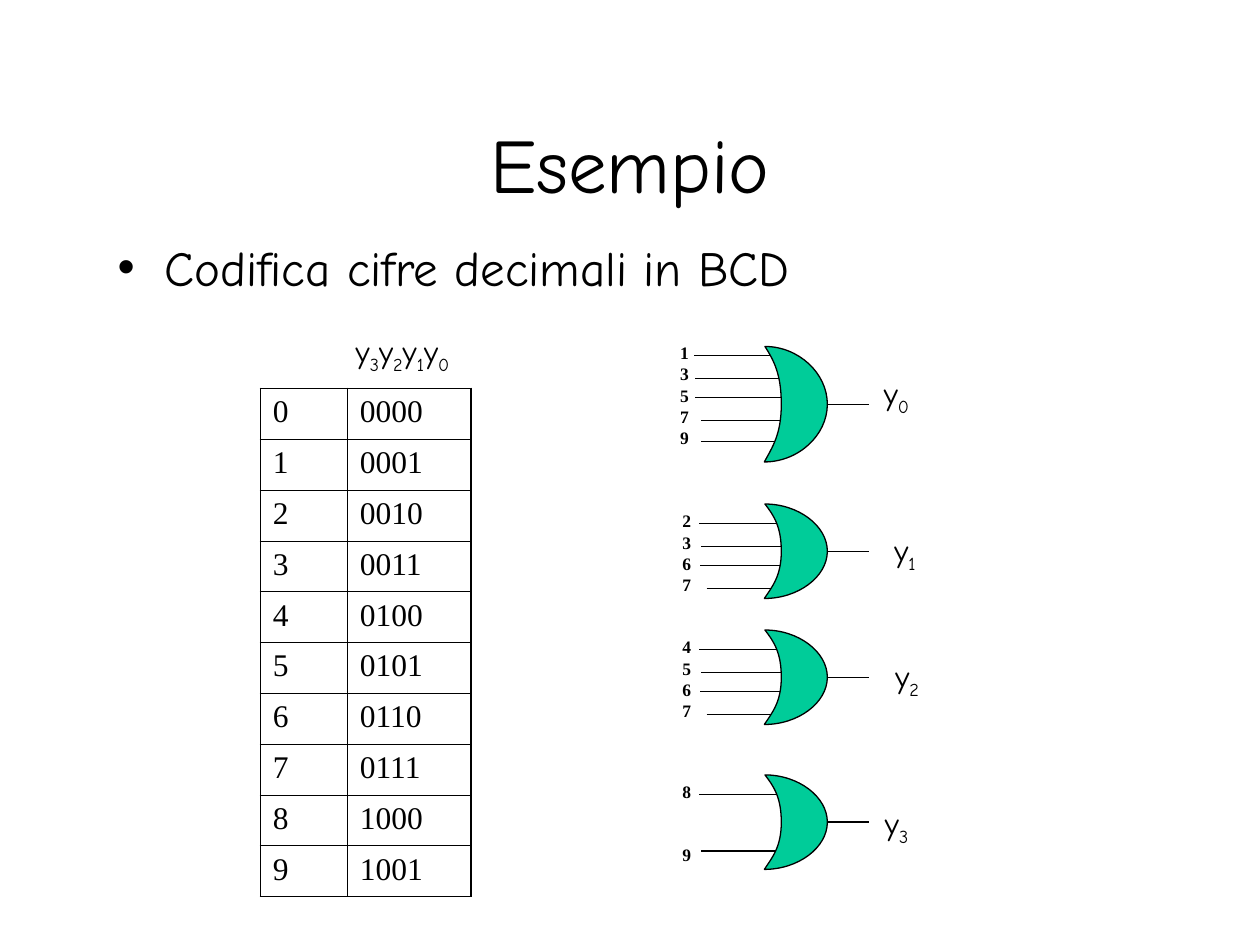
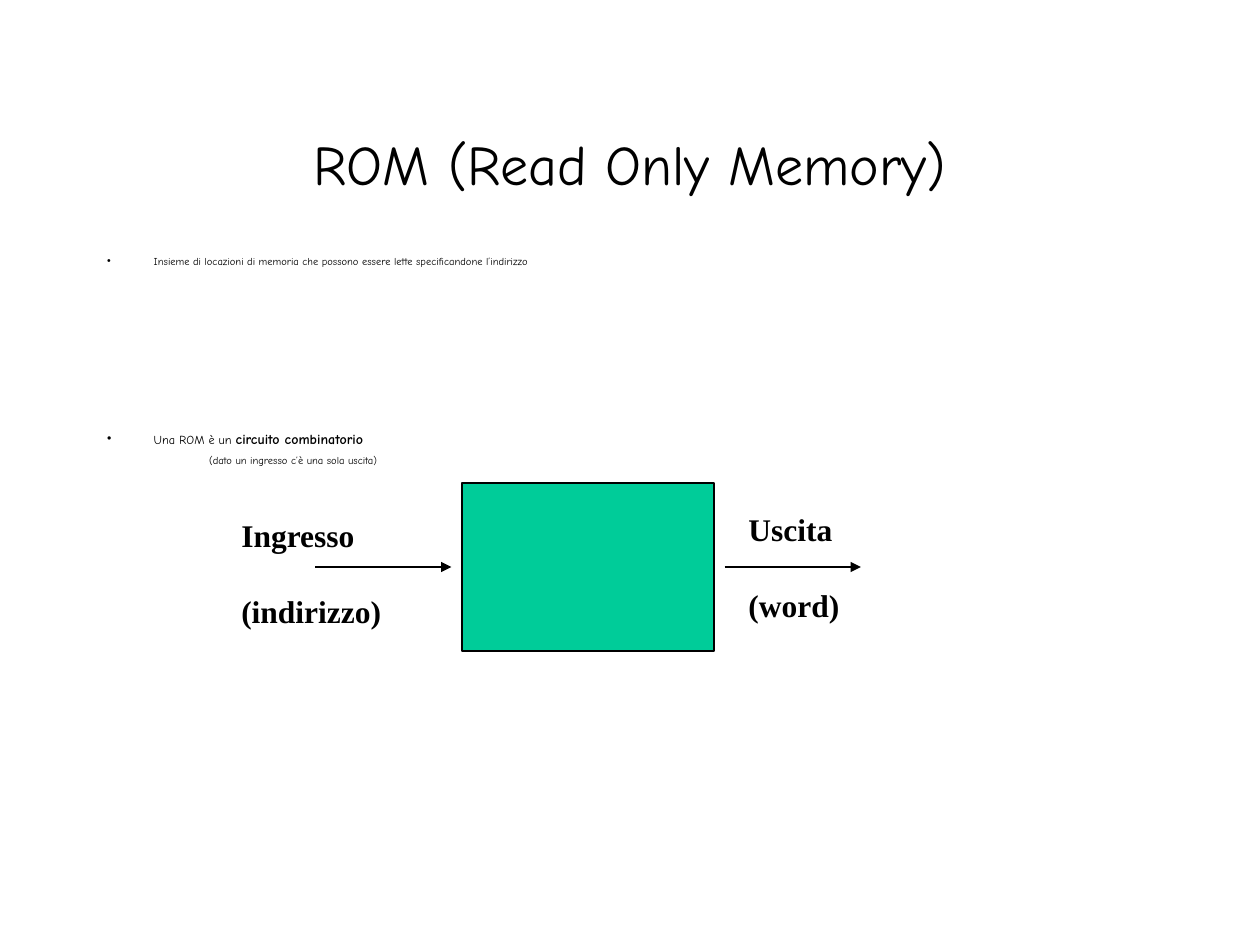
from pptx import Presentation
from pptx.dml.color import RGBColor
from pptx.enum.shapes import MSO_CONNECTOR as Connector, MSO_SHAPE as Preset
from pptx.enum.text import MSO_AUTO_SIZE as AutoSize, MSO_ANCHOR as Anchor, PP_ALIGN as Align
from pptx.oxml import parse_xml
from pptx.oxml.ns import nsdecls, qn
from pptx.util import Inches, Pt

BLACK, GREEN = "000000", "00CC99"
HAND, SERIF = "Comic Neue", "Times New Roman"
HAIRLINE = Pt(0.75)

deck = Presentation()
deck.slide_width, deck.slide_height = Inches(10), Inches(7.5)
UNIT = deck.slide_width / 120  # the grid has 120 columns and 90 rows


def grid(*steps):
    return [round(step * UNIT) for step in steps]


def style(font, face, size, bold=False, colour=BLACK):
    font.name, font.size, font.bold = face, Pt(size), bold
    font.color.rgb = RGBColor.from_string(colour)


# Titles and lists: each item is (runs, bulleted, left margin, space before);
# each run is (text, size, bold)
pages = [
    ("Esempio", 44, (10, 22, 102, 7), 1, [
        ([("Codifica cifre decimali in BCD", 28, False)], True, 0.37, 0),
    ]),
    ("ROM (Read Only Memory)", 32, (9, 24, 102, 7), 0.7, [
        ([("Insieme di locazioni di memoria che possono essere lette "
           "specificandone l’indirizzo", 6, False)], True, 0.37, 0),
        ([("Una ROM è un ", 7, False), ("circuito combinatorio", 8, True)], True, 0.37, 96),
        ([("(dato un ingresso c’è una sola uscita)", 6, False)], False, 0.81, 6),
    ]),
]
for heading, heading_size, body_box, leading, items in pages:
    slide = deck.slides.add_slide(deck.slide_layouts[1])
    title, body = slide.placeholders
    title.left, title.top, title.width, title.height = grid(9, 8, 102, 15)
    title.text_frame.text = heading
    title.text_frame.vertical_anchor = Anchor.MIDDLE
    title.text_frame.paragraphs[0].alignment = Align.CENTER
    style(title.text_frame.paragraphs[0].runs[0].font, HAND, heading_size)

    body.left, body.top, body.width, body.height = grid(*body_box)
    body.text_frame.auto_size = AutoSize.NONE
    for index, (runs, bulleted, margin, before) in enumerate(items):
        item = body.text_frame.add_paragraph() if index else body.text_frame.paragraphs[0]
        item.line_spacing, item.space_before = leading, Pt(before)
        props = item._p.get_or_add_pPr()
        props.set("marL", str(Inches(margin)))
        props.set("indent", str(-Inches(margin) if bulleted else 0))
        bullet = 'buChar {} char="•"' if bulleted else "buNone {}"
        props.append(parse_xml(f"<a:{bullet.format(nsdecls('a'))}/>"))
        for words, size, bold in runs:
            run = item.add_run()
            run.text = words
            style(run.font, HAND, size, bold)

encoder, rom = deck.slides

# Truth table: decimal digit and its BCD code
ROW_HEIGHT = 4.84
codes = encoder.shapes.add_table(10, 2, *grid(24.8, 37, 20, 10 * ROW_HEIGHT)).table
codes.first_row = codes.horz_banding = False
codes.columns[0].width, codes.columns[1].width = Inches(0.69), Inches(0.98)
for digit in range(10):
    codes.rows[digit].height = grid(ROW_HEIGHT)[0]
    for column, value in enumerate((f"{digit}", f"{digit:04b}")):
        cell = codes.cell(digit, column)
        cell.text_frame.text = value
        cell.vertical_anchor = Anchor.TOP
        style(cell.text_frame.paragraphs[0].runs[0].font, SERIF, 18)
        cell.fill.background()
        outer = {"L": column == 0, "R": column == 1, "T": digit == 0, "B": digit == 9}
        for position, (side, is_outer) in enumerate(outer.items()):
            width = Pt(1.08 if is_outer else 0.45)
            cell._tc.get_or_add_tcPr().insert(position, parse_xml(
                f'<a:ln{side} {nsdecls("a")} w="{width}"><a:solidFill>'
                f'<a:srgbClr val="{BLACK}"/></a:solidFill></a:ln{side}>'))

# OR gates: top, height, input digits, digit box, extra gap between digits,
# input wires as (start column, row below the gate's top, end column)
GATE_LEFT, GATE_WIDTH, OUTPUT_LENGTH = 72.8, 6, 4
five_wires = [(66.1, 0.85, 74.2), (66.2, 3.05, 74.8), (66.2, 4.85, 75.2),
              (66.8, 7.05, 74.8), (66.8, 9.05, 74.8)]
four_wires = [(66.6, 1.85, 74.6), (66.8, 4.05, 75.2), (66.7, 5.85, 75.8), (67.3, 8.05, 75.2)]
two_wires = [(66.6, 1.85, 74.6), (66.8, 7.25, 74.8)]
gates = [
    (33, 11, "13579", (63.6, 32), 0, five_wires),
    (48, 9, "2367", (63.8, 48), 0, four_wires),
    (60, 9, "4567", (63.8, 60), 0, four_wires),
    (73.8, 9, "89", (63.8, 73.8), 24, two_wires),
]
# Gate outline in shares of the gate's size: each Bezier curve continues from
# the end of the one before, and the last ends where the first starts
outline = [
    [(0.13, 0.87), (0.27, 0.76), (0.27, 0.5)],
    [(0.27, 0.24), (0.15, 0.12), (0.01, 0)],
    [(0.54, 0), (1, 0.23), (1, 0.5)],
    [(1, 0.77), (0.54, 1), (0, 1)],
]
blocks = []
labels = []  # slide, box, lines, size, gap before the following lines, line height

for top, height, digits, corner, gap, wires in gates:
    output = (GATE_LEFT + GATE_WIDTH, height / 2, GATE_LEFT + GATE_WIDTH + OUTPUT_LENGTH)
    for start, row, end in wires + [output]:
        encoder.shapes.add_connector(Connector.STRAIGHT, *grid(start, top + row, end, top + row))
    corners = [grid(GATE_LEFT + x * GATE_WIDTH, top + y * height) for *_, (x, y) in outline]
    builder = encoder.shapes.build_freeform(*corners[-1])
    builder.add_line_segments(corners, close=True)
    gate = builder.convert_to_shape()
    # Bend each straight segment into its curve
    segments = list(gate._element.iter(qn("a:lnTo")))
    for segment, curve in zip(segments, outline):
        handles = [grid(x * GATE_WIDTH, y * height) for x, y in curve]
        marks = "".join(f'<a:pt x="{x}" y="{y}"/>' for x, y in handles)
        segment.getparent().replace(segment, parse_xml(
            f'<a:cubicBezTo {nsdecls("a")}>{marks}</a:cubicBezTo>'))
    for spare in segments[len(outline):]:
        spare.getparent().remove(spare)
    blocks.append(gate)
    labels.append((encoder, (*corner, 3.2, height), digits, 10, gap, Pt(12.1)))

# Signal names with subscript indices
signals = [("y3y2y1y0", 32.7, 31, 11.3), ("y0", 83, 35, 4.8), ("y1", 84, 50, 4.8),
           ("y2", 84.1, 62, 4.8), ("y3", 83.1, 76, 4.8)]
for name, left, top, width in signals:
    signal = encoder.shapes.add_textbox(*grid(left, top, width, 5.3)).text_frame
    signal.word_wrap = False
    for letter in name:
        run = signal.paragraphs[0].add_run()
        run.text = letter
        style(run.font, HAND, 18)
        if letter.isdigit():
            run.font._element.set("baseline", "-25000")

# ROM block with its input and output arrows
blocks.append(rom.shapes.add_shape(Preset.RECTANGLE, *grid(44, 46, 24, 16)))
for start in (30, 69):
    arrow = rom.shapes.add_connector(Connector.STRAIGHT, *grid(start, 54, start + 13, 54))
    arrow.line._get_or_add_ln().append(parse_xml(f'<a:tailEnd {nsdecls("a")} type="triangle"/>'))
labels += [(rom, (21.8, 48.6, 16.5, 12), ("Ingresso", "(indirizzo)"), 18, 21.5, 1),
           (rom, (70.1, 48, 12, 12), ("Uscita", "(word)"), 18, 22, 1)]

# Bold labels on both slides
for slide, box, lines, size, gap, leading in labels:
    frame = slide.shapes.add_textbox(*grid(*box)).text_frame
    frame.word_wrap = False
    frame.text = "\n".join(lines)
    for index, paragraph in enumerate(frame.paragraphs):
        paragraph.line_spacing = leading
        paragraph.space_before = Pt(gap if index else 0)
        style(paragraph.runs[0].font, SERIF, size, bold=True)

# Shared look of the blocks and lines
for block in blocks:
    block.shadow.inherit = False
    block.fill.solid()
    block.fill.fore_color.rgb = RGBColor.from_string(GREEN)
wires = [shape for slide in deck.slides for shape in slide.shapes
         if hasattr(shape, "begin_connect")]
for wire in wires:
    wire._element.spPr.append(parse_xml(f'<a:effectLst {nsdecls("a")}/>'))
for stroke in blocks + wires:
    stroke.line.color.rgb = RGBColor.from_string(BLACK)
    stroke.line.width = HAIRLINE

deck.save("out.pptx")
